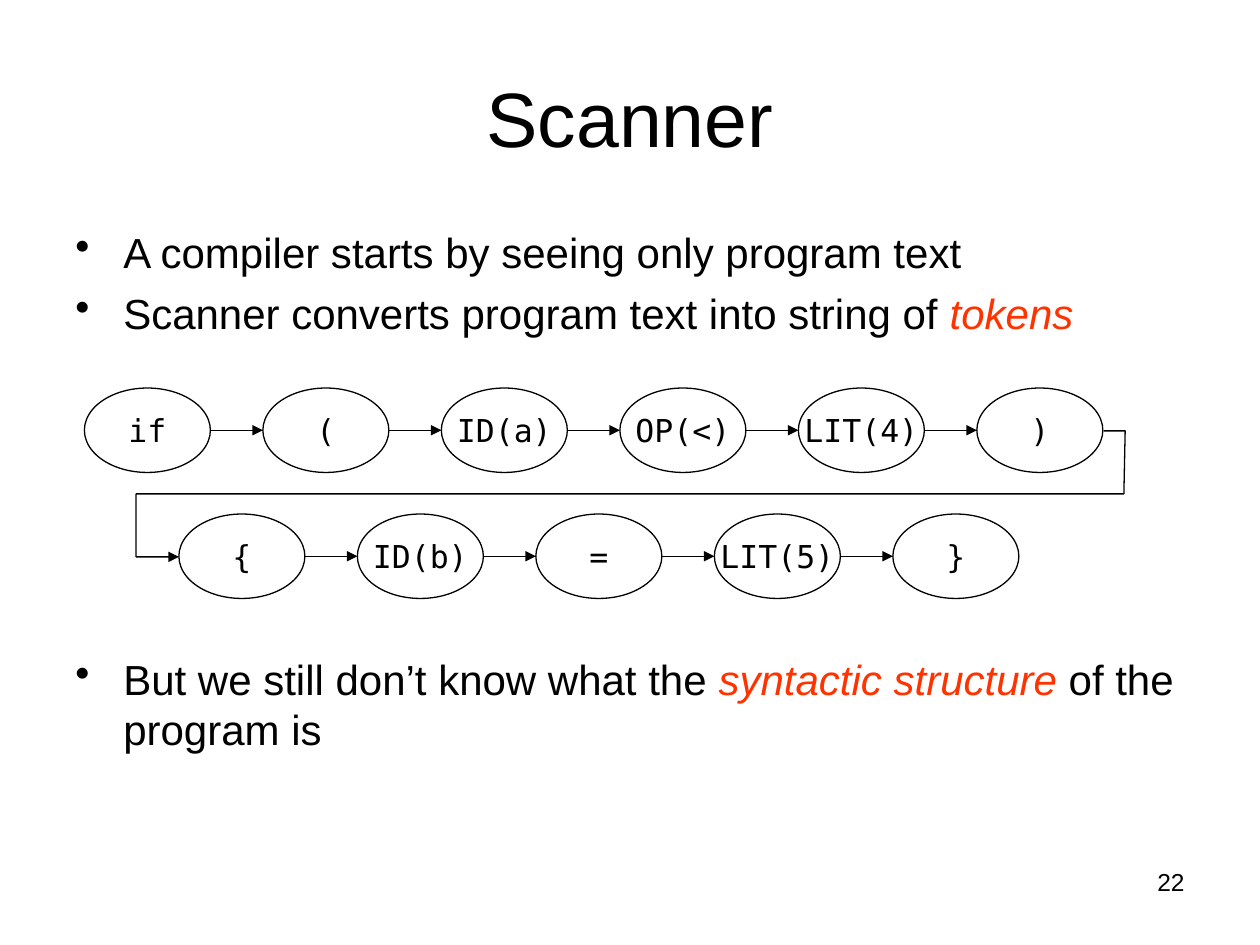
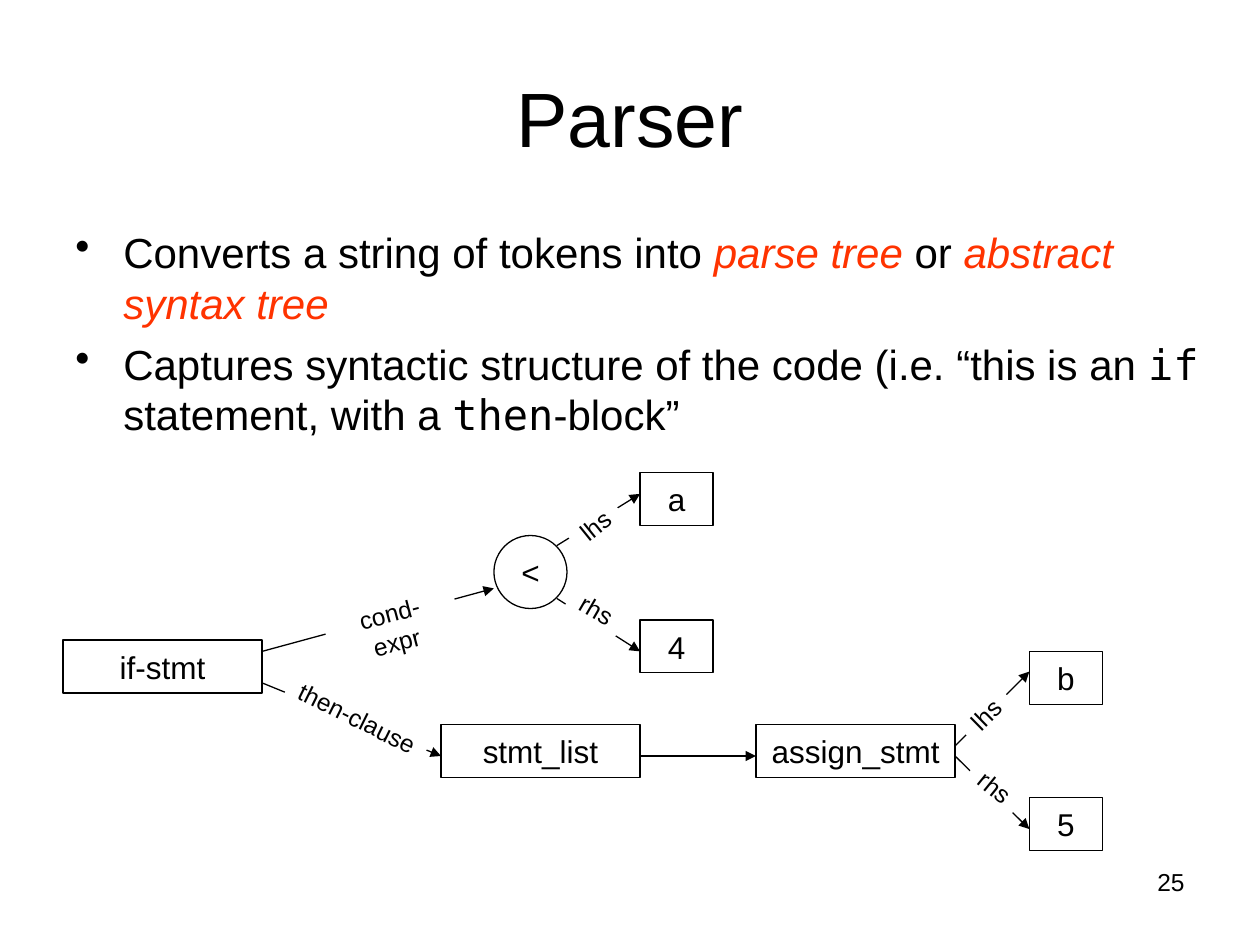
from lxml import etree
from pptx import Presentation
from pptx.dml.color import RGBColor
from pptx.enum.shapes import MSO_CONNECTOR, MSO_SHAPE
from pptx.enum.text import MSO_ANCHOR, PP_ALIGN
from pptx.oxml.ns import qn
from pptx.util import Inches, Pt

BLACK = RGBColor(0x00, 0x00, 0x00)
WHITE = RGBColor(0xFF, 0xFF, 0xFF)
ORANGE_RED = RGBColor(0xFF, 0x33, 0x00)
SANS = "Arial"
MONO = "DejaVu Sans Mono"
LEFT, CENTER, RIGHT = PP_ALIGN.LEFT, PP_ALIGN.CENTER, PP_ALIGN.RIGHT
TOP, MIDDLE = MSO_ANCHOR.TOP, MSO_ANCHOR.MIDDLE
RECT, OVAL = MSO_SHAPE.RECTANGLE, MSO_SHAPE.OVAL
STRAIGHT = MSO_CONNECTOR.STRAIGHT

PLAIN = {}
TERM = {"italic": True, "color": ORANGE_RED}
CODE = {"name": MONO}

TITLE = {"size": 44, "align": CENTER, "anchor": MIDDLE, "wrap": True}
NUMBER = {"size": 14, "align": RIGHT, "anchor": TOP, "wrap": True}
BODY = {"size": 24, "align": LEFT, "anchor": TOP, "wrap": True}
NODE = {"size": 18, "align": CENTER, "anchor": MIDDLE, "wrap": False}
EDGE_LABEL = {"size": 14, "align": CENTER, "anchor": TOP, "wrap": False}


def write(shape, paragraphs, style):
    frame = shape.text_frame
    frame.word_wrap = style["wrap"]
    frame.vertical_anchor = style["anchor"]
    for index, runs in enumerate(paragraphs):
        paragraph = frame.add_paragraph() if index else frame.paragraphs[0]
        paragraph.alignment = style["align"]
        for text, changes in runs:
            run = paragraph.add_run()
            run.text = text
            values = {"name": SANS, "size": Pt(style["size"]), "color": BLACK} | changes
            run.font.color.rgb = values.pop("color")
            for attribute, value in values.items():
                setattr(run.font, attribute, value)


def outline(shape, arrow=False):
    shape.line.color.rgb = BLACK
    shape.line.width = Pt(0.75)
    properties = shape.element.spPr
    if arrow:
        etree.SubElement(properties.find(qn("a:ln")), qn("a:tailEnd"), type="triangle")
    etree.SubElement(properties, qn("a:effectLst"))


prs = Presentation()
prs.slide_width, prs.slide_height = Inches(10), Inches(7.5)

pages = [
    ("Scanner", "22", [
        (6, [("A compiler starts by seeing only program text", PLAIN)]),
        (6, [("Scanner converts program text into string of ", PLAIN), ("tokens", TERM)]),
        (180, [("But we still don’t know what the ", PLAIN),
               ("syntactic structure ", TERM),
               ("of the program is", PLAIN)]),
    ]),
    ("Parser", "25", [
        (6, [("Converts a string of tokens into ", PLAIN), ("parse tree", TERM),
             (" or ", PLAIN), ("abstract syntax tree", TERM)]),
        (6, [("Captures syntactic structure of the code (i.e. “this is an ", PLAIN),
             ("if", CODE), (" statement, with a ", PLAIN),
             ("then", CODE), ("-block”", PLAIN)]),
    ]),
]

slides = []
for title, number, bullets in pages:
    slide = prs.slides.add_slide(prs.slide_layouts[6])
    slides.append(slide)
    for text, style, box in [
        (number, NUMBER, (7.17, 6.83, 2.33, 0.52)),
        (title, TITLE, (0.5, 0.3, 9, 1.25)),
    ]:
        write(slide.shapes.add_textbox(*map(Inches, box)), [[(text, PLAIN)]], style)
    body = slide.shapes.add_textbox(*map(Inches, (0.5, 1.75, 9.42, 4.95)))
    write(body, [runs for _, runs in bullets], BODY)
    for paragraph, (space, _) in zip(body.text_frame.paragraphs, bullets):
        paragraph.space_before = Pt(space)
        properties = paragraph._p.get_or_add_pPr()
        properties.set("marL", str(Inches(0.38)))
        properties.set("indent", str(Inches(-0.38)))
        etree.SubElement(properties, qn("a:buChar"), char="•")

scanner, parser = slides

TOKEN_WIDTH, TOKEN_HEIGHT = 1, 0.67
TOKEN_PITCH = 17 / 12
token_rows = [
    (0.67, 3.08, ["if", "(", "ID(a)", "OP(<)", "LIT(4)", ")"]),
    (1.42, 4.08, ["{", "ID(b)", "=", "LIT(5)", "}"]),
]
for row_left, top, tokens in token_rows:
    middle = top + TOKEN_HEIGHT / 2
    for index, token in enumerate(tokens):
        left = row_left + index * TOKEN_PITCH
        oval = scanner.shapes.add_shape(
            OVAL, *map(Inches, (left, top, TOKEN_WIDTH, TOKEN_HEIGHT)))
        oval.fill.background()
        outline(oval)
        write(oval, [[(token, CODE)]], NODE)
        if index:
            ends = (left - TOKEN_PITCH + TOKEN_WIDTH, middle, left, middle)
            outline(scanner.shapes.add_connector(STRAIGHT, *map(Inches, ends)), arrow=True)

row_turn = [(8.76, 3.42), (8.93, 3.42), (8.92, 3.92),
            (1.08, 3.92), (1.08, 4.42), (1.42, 4.42)]
start, *corners = [(Inches(x), Inches(y)) for x, y in row_turn]
builder = scanner.shapes.build_freeform(*start)
builder.add_line_segments(corners, close=False)
turn = builder.convert_to_shape()
turn.fill.background()
outline(turn, arrow=True)

WIDE, NARROW, NODE_HEIGHT = 1.58, 0.58, 0.42
tree_nodes = [
    ("if-stmt", RECT, 0.5, 5.08, WIDE, NODE_HEIGHT),
    ("stmt_list", RECT, 3.5, 5.75, WIDE, NODE_HEIGHT),
    ("assign_stmt", RECT, 6, 5.75, WIDE, NODE_HEIGHT),
    ("b", RECT, 8.17, 5.17, NARROW, NODE_HEIGHT),
    ("5", RECT, 8.17, 6.33, NARROW, NODE_HEIGHT),
    ("a", RECT, 5.08, 3.75, NARROW, NODE_HEIGHT),
    ("4", RECT, 5.08, 4.92, NARROW, NODE_HEIGHT),
    ("<", OVAL, 3.92, 4.25, NARROW, NARROW),
]
for text, kind, *box in tree_nodes:
    node = parser.shapes.add_shape(kind, *map(Inches, box))
    node.fill.background()
    outline(node)
    write(node, [[(text, PLAIN)]], NODE)

tree_edges = [
    (2.08, 5.17, 3.92, 4.67),
    (4.42, 4.33, 5.08, 3.92),
    (4.42, 4.75, 5.08, 5.17),
    (2.08, 5.42, 3.5, 6),
    (5.08, 6, 6, 6),
    (7.58, 5.92, 8.17, 5.33),
    (7.58, 6, 8.17, 6.58),
]
for ends in tree_edges:
    outline(parser.shapes.add_connector(STRAIGHT, *map(Inches, ends)), arrow=True)

edge_labels = [
    ("cond-expr", 2.56, 4.7, 1.06, 345.1),
    ("then-clause", 2.23, 5.53, 1.21, 26.4),
    ("rhs", 7.66, 6.08, 0.47, 39),
    ("lhs", 7.6, 5.5, 0.45, 315.6),
    ("rhs", 4.5, 4.67, 0.47, 30.1),
    ("lhs", 4.5, 4, 0.45, 321),
]
for text, left, top, width, angle in edge_labels:
    label = parser.shapes.add_textbox(*map(Inches, (left, top, width, 0.34)))
    label.rotation = angle
    label.fill.solid()
    label.fill.fore_color.rgb = WHITE
    write(label, [[(text, PLAIN)]], EDGE_LABEL)

prs.save("out.pptx")
